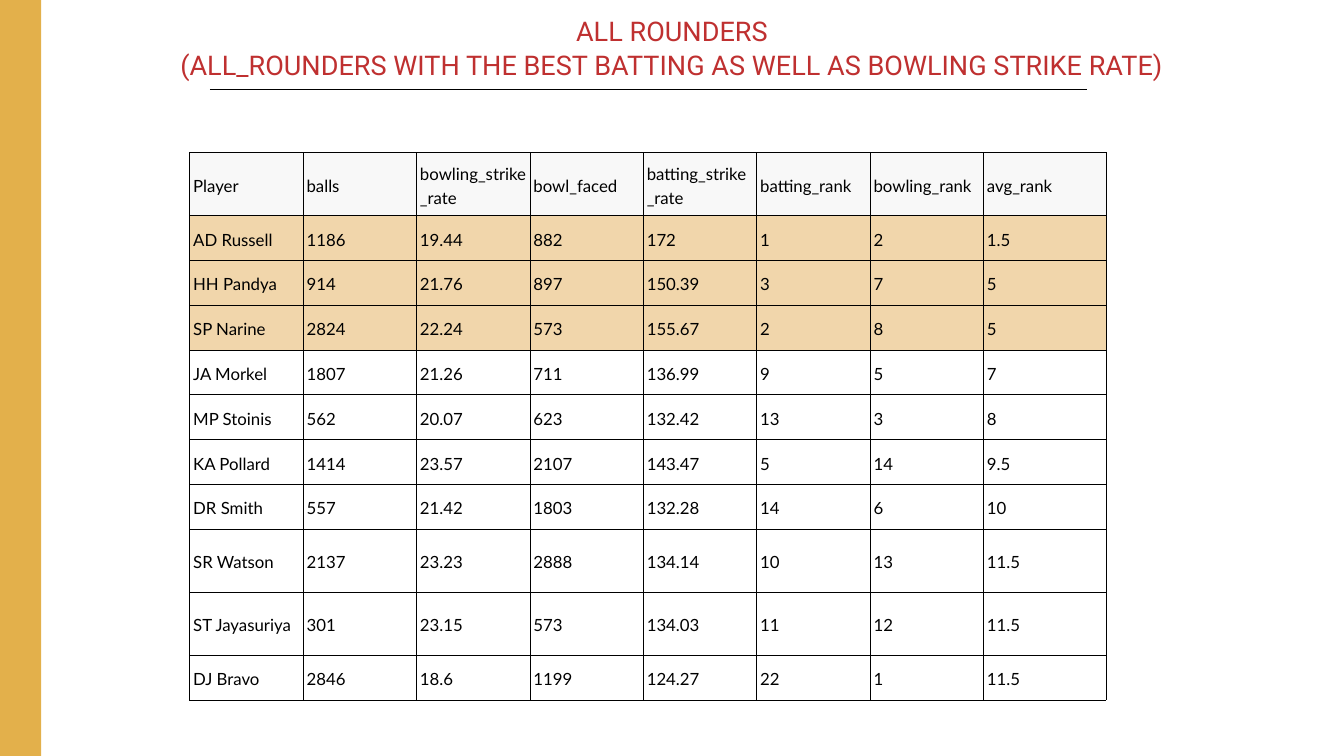
from lxml import etree
from pptx import Presentation
from pptx.dml.color import RGBColor
from pptx.enum.shapes import MSO_CONNECTOR, MSO_SHAPE
from pptx.enum.text import MSO_ANCHOR, PP_ALIGN
from pptx.oxml import parse_xml
from pptx.oxml.ns import nsdecls, qn
from pptx.util import Pt

STRAIGHT = MSO_CONNECTOR.STRAIGHT
RECTANGLE = MSO_SHAPE.RECTANGLE
MIDDLE = MSO_ANCHOR.MIDDLE
CENTER = PP_ALIGN.CENTER

BLACK = RGBColor(0x00, 0x00, 0x00)
RED = RGBColor(0xBF, 0x30, 0x30)
GOLD = RGBColor(0xE3, 0xB0, 0x4B)
HEADER_GREY = RGBColor(0xF8, 0xF8, 0xF8)
TOP_THREE = RGBColor(0xF1, 0xD6, 0xAB)

PX = 9525  # EMU per px, 96 px to the inch
SLIDE_WIDTH, SLIDE_HEIGHT = 1920, 1080
COLUMN_WIDTHS = [162] * 7 + [175]
ROW_HEIGHT, TALL_ROW_HEIGHT = 64, 90
TALL_ROWS = {0, 8, 9}
CELL_MARGIN = 5

STATS = [
    ("Player", "balls", "bowling_strike_rate", "bowl_faced",
     "batting_strike_rate", "batting_rank", "bowling_rank", "avg_rank"),
    ("AD Russell", "1186", "19.44", "882", "172", "1", "2", "1.5"),
    ("HH Pandya", "914", "21.76", "897", "150.39", "3", "7", "5"),
    ("SP Narine", "2824", "22.24", "573", "155.67", "2", "8", "5"),
    ("JA Morkel", "1807", "21.26", "711", "136.99", "9", "5", "7"),
    ("MP Stoinis", "562", "20.07", "623", "132.42", "13", "3", "8"),
    ("KA Pollard", "1414", "23.57", "2107", "143.47", "5", "14", "9.5"),
    ("DR Smith", "557", "21.42", "1803", "132.28", "14", "6", "10"),
    ("SR Watson", "2137", "23.23", "2888", "134.14", "10", "13", "11.5"),
    ("ST Jayasuriya", "301", "23.15", "573", "134.03", "11", "12", "11.5"),
    ("DJ Bravo", "2846", "18.6", "1199", "124.27", "22", "1", "11.5"),
]
ROW_FILLS = {0: HEADER_GREY, 1: TOP_THREE, 2: TOP_THREE, 3: TOP_THREE}


class SlideBuilder:
    """Holds the style and the current slide."""

    title_font, title_size, title_spacing = "Roboto", Pt(29), Pt(35.7)
    table_font, table_size, table_spacing = "Lato", Pt(18), Pt(25.2)
    line_width = Pt(0.75)

    def __init__(self, slide):
        self.slide = slide

    def rule(self, x1, x2, y):
        rule = self.slide.shapes.add_connector(
            STRAIGHT, x1 * PX, y * PX, x2 * PX, y * PX)
        rule.line.color.rgb = BLACK
        rule.line.width = self.line_width
        etree.SubElement(rule._element.spPr, qn("a:effectLst"))

    def band(self, left, top, width, height, color):
        band = self.slide.shapes.add_shape(
            RECTANGLE, left * PX, top * PX, width * PX, height * PX)
        band.shadow.inherit = False
        band.fill.solid()
        band.fill.fore_color.rgb = color
        band.line.fill.background()

    def title(self, left, top, width, height, lines):
        box = self.slide.shapes.add_textbox(
            left * PX, top * PX, width * PX, height * PX)
        frame = box.text_frame
        frame.word_wrap = True
        frame.margin_left = frame.margin_right = 0
        frame.margin_top = frame.margin_bottom = 0
        frame.text = "\n".join(lines)
        for paragraph in frame.paragraphs:
            paragraph.alignment = CENTER
            self.style(paragraph, self.title_font, self.title_size,
                       self.title_spacing, RED)

    def table(self, left, top, rows, widths, heights, fills):
        table = self.slide.shapes.add_table(
            len(rows), len(widths), left * PX, top * PX,
            sum(widths) * PX, sum(heights) * PX).table
        table.first_row = table.horz_banding = False
        for column, width in zip(table.columns, widths):
            column.width = width * PX
        for r, (values, height) in enumerate(zip(rows, heights)):
            table.rows[r].height = height * PX
            for c, value in enumerate(values):
                self.cell(table.cell(r, c), value, fills.get(r))

    def cell(self, cell, value, color):
        cell.text = value
        cell.vertical_anchor = MIDDLE
        cell.margin_left = cell.margin_right = CELL_MARGIN * PX
        cell.margin_top = cell.margin_bottom = CELL_MARGIN * PX
        self.style(cell.text_frame.paragraphs[0], self.table_font,
                   self.table_size, self.table_spacing, BLACK)
        properties = cell._tc.get_or_add_tcPr()
        for side in ("lnL", "lnR", "lnT", "lnB"):
            properties.append(parse_xml(
                f'<a:{side} {nsdecls("a")} w="{self.line_width}"><a:solidFill>'
                f'<a:srgbClr val="{BLACK}"/></a:solidFill></a:{side}>'))
        if color is None:
            cell.fill.background()
        else:
            cell.fill.solid()
            cell.fill.fore_color.rgb = color

    @staticmethod
    def style(paragraph, name, size, spacing, color):
        paragraph.line_spacing = spacing
        paragraph.font.name = name
        paragraph.font.size = size
        paragraph.font.color.rgb = color


def main():
    deck = Presentation()
    deck.slide_width = SLIDE_WIDTH * PX
    deck.slide_height = SLIDE_HEIGHT * PX
    builder = SlideBuilder(deck.slides.add_slide(deck.slide_layouts[6]))

    # Rule under the title and gold side band
    builder.rule(300, 1553, 128)
    builder.band(-32, -11, 91, 1101, GOLD)

    # Player statistics, best three highlighted
    heights = [TALL_ROW_HEIGHT if r in TALL_ROWS else ROW_HEIGHT
               for r in range(len(STATS))]
    builder.table(271, 218, STATS, COLUMN_WIDTHS, heights, ROW_FILLS)

    # Title
    builder.title(60, 20, 1800, 93, [
        "ALL ROUNDERS",
        "(ALL_ROUNDERS WITH THE BEST BATTING AS WELL AS BOWLING STRIKE RATE)",
    ])

    deck.save("out.pptx")


if __name__ == "__main__":
    main()
